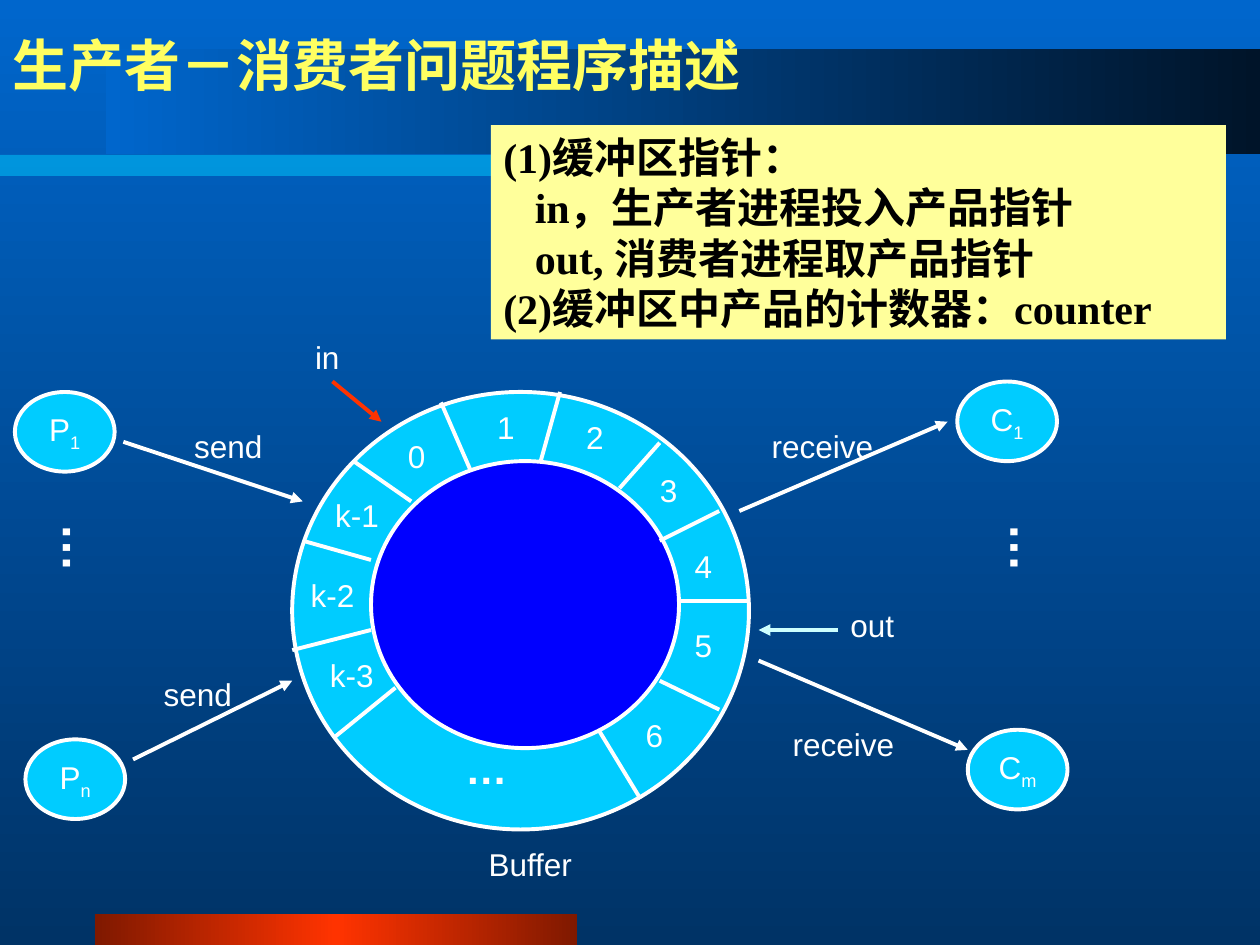
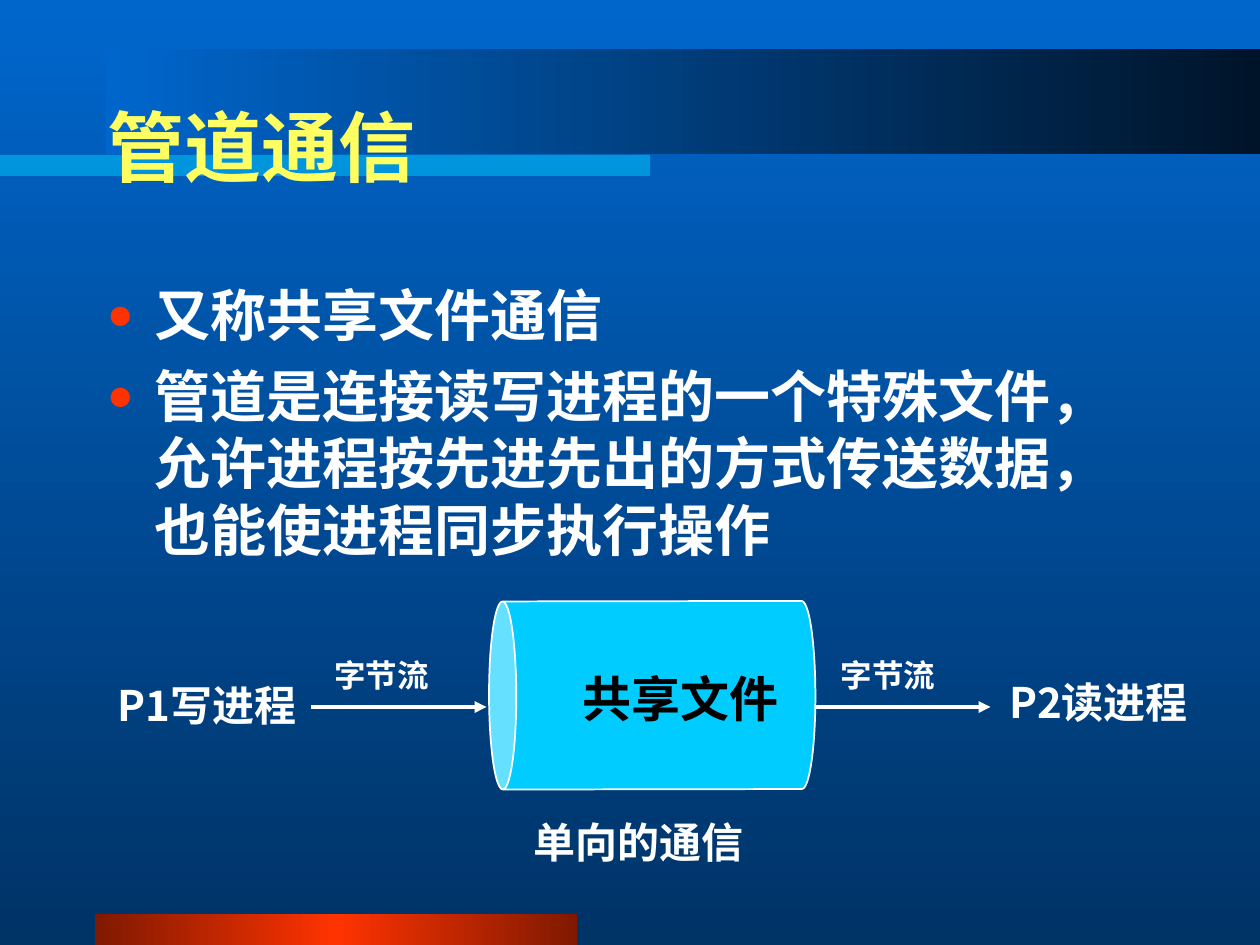
from copy import deepcopy
from dataclasses import dataclass

from lxml.etree import SubElement
from pptx import Presentation
from pptx.dml.color import RGBColor
from pptx.enum.shapes import MSO_CONNECTOR, MSO_SHAPE
from pptx.enum.text import MSO_ANCHOR, MSO_AUTO_SIZE, PP_ALIGN
from pptx.oxml.ns import qn
from pptx.util import Pt


@dataclass(frozen=True)
class Theme:
    sky: str = "0066CC"
    deep: str = "003366"
    night: str = "001429"
    cyan: str = "00CCFF"
    pale: str = "CCFFFF"
    blue: str = "0000FF"
    red: str = "FF3300"
    maroon: str = "7F1900"
    yellow: str = "FFFF61"
    note: str = "FFFF9B"
    white: str = "FFFFFF"
    black: str = "000000"
    sans: str = "Arial"
    serif: str = "Times New Roman"
    chinese: str = "Noto Sans CJK SC"
    small: int = 18
    medium: int = 24
    large: int = 28
    body: int = 32
    heading: int = 44
    stroke: float = 2.25


THEME = Theme()

# Content: producer and consumer slide
BUFFER_TITLE = "生产者－消费者问题程序描述"
NOTES = [  # text, left indent
    ("(1)缓冲区指针：", 0),
    ("in，生产者进程投入产品指针", 18),
    ("out, 消费者进程取产品指针", 18),
    ("(2)缓冲区中产品的计数器：counter", 0),
]
RINGS = [((167, 224, 261, 250), THEME.cyan), ((212, 263.5, 176, 164), THEME.blue)]
DIVIDERS = [
    (252, 230, 269, 269), (320, 224, 309, 263.5), (377, 253, 354, 279),
    (202, 263.5, 235, 286.5), (173, 309, 212, 320), (167, 371.5, 212, 360),
    (226, 393, 191.5, 421), (342, 417, 366, 456.5), (377, 389, 411, 405.5),
    (388, 343.5, 428, 343.5), (377, 309, 411, 292),
]
PROCESSES = [  # letter, index, left, top
    ("P", "1", 8.5, 224), ("P", "n", 14.5, 422.5),
    ("C", "1", 547, 218), ("C", "m", 553, 417),
]
FLOWS = [  # ends, colour
    ((70.5, 252.5, 173, 286.5), THEME.white), ((76, 434, 167, 389), THEME.white),
    ((422.5, 292, 541.5, 241), THEME.white), ((433.5, 377.5, 553, 428.5), THEME.white),
    ((190, 218, 218, 241), THEME.red), ((479, 360, 433.5, 360), THEME.pale),
]
LABELS = [  # text, centre, top
    ("0", 238, 246), ("1", 289, 229.5), ("2", 340, 235.5), ("3", 382, 265.5),
    ("4", 402, 309), ("5", 402, 354), ("6", 374, 405.5),
    ("k-1", 204, 280), ("k-2", 190, 325.5), ("k-3", 201, 371.5),
    ("send", 130.5, 240.5), ("send", 113, 382),
    ("receive", 470, 240.5), ("receive", 482, 410.5),
    ("in", 187, 189.5), ("out", 498.5, 342.5), ("Buffer", 303, 479.5),
]
LABEL_WIDTH, LABEL_HEIGHT = 90, 29
MORE_PROCESSES_LEFT = [20, 561.5]

# Content: pipe slide
PIPE_TITLE = "管道通信"
PIPE_POINTS = [
    "又称共享文件通信",
    "管道是连接读写进程的一个特殊文件，允许进程按先进先出的方式传送数据，也能使进程同步执行操作",
]
PIPE_LABELS = [  # text, frame, size, font, colour, alignment
    ("P1写进程", (60, 385, 124, 36), THEME.medium, THEME.chinese, THEME.white, PP_ALIGN.LEFT),
    ("P2读进程", (569.5, 383, 121, 36), THEME.medium, THEME.chinese, THEME.white, PP_ALIGN.LEFT),
    ("共享文件", (326, 378.5, 134, 50.5), THEME.large, THEME.serif, THEME.black, PP_ALIGN.JUSTIFY),
    ("字节流", (167, 371.5, 102, 29), THEME.small, THEME.sans, THEME.white, PP_ALIGN.CENTER),
    ("字节流", (456.5, 371.5, 102, 29), THEME.small, THEME.sans, THEME.white, PP_ALIGN.CENTER),
    ("单向的通信", (298, 463, 140, 36), THEME.medium, THEME.serif, THEME.white, PP_ALIGN.LEFT),
]
STREAMS = [(178, 404, 278, 404), (466, 404, 566, 404)]


def rgb(colour):
    return RGBColor.from_string(colour)


def points(values):
    return [Pt(value) for value in values]


# Fills and outlines
def fill_gradient(fill, colours, angle=0):
    fill.gradient()
    fill.gradient_angle = angle
    first = fill.gradient_stops[0]._gs
    for _ in colours[2:]:
        first.getparent().append(deepcopy(first))
    for index, (stop, colour) in enumerate(zip(fill.gradient_stops, colours)):
        stop.position = index / (len(colours) - 1)
        stop.color.rgb = rgb(colour)


def add_figure(slide, kind, frame, colour=None, stroke=None):
    figure = slide.shapes.add_shape(kind, *points(frame))
    figure.shadow.inherit = False
    if colour:
        figure.fill.solid()
        figure.fill.fore_color.rgb = rgb(colour)
    if stroke:
        figure.line.color.rgb = rgb(THEME.white)
        figure.line.width = Pt(stroke)
    else:
        figure.line.fill.background()
    return figure


def add_line(slide, ends, colour=THEME.white, arrow=False):
    line = slide.shapes.add_connector(MSO_CONNECTOR.STRAIGHT, *points(ends))
    line.line.color.rgb = rgb(colour)
    line.line.width = Pt(THEME.stroke)
    if arrow:
        SubElement(line.line._get_or_add_ln(), qn("a:tailEnd"), type="triangle")
    SubElement(line._element.spPr, qn("a:effectLst"))


# Text
def add_run(paragraph, text, size, font=THEME.sans, colour=THEME.white, bold=False):
    run = paragraph.add_run()
    run.text = text
    run.font.size = Pt(size)
    run.font.bold = bold
    run.font.color.rgb = rgb(colour)
    run.font.name = font
    if any(0x2E80 < ord(letter) for letter in text):
        SubElement(run._r.get_or_add_rPr(), qn("a:ea"), typeface=THEME.chinese)
        paragraph.line_spacing = Pt(round(size * 1.2, 1))
    return run


def add_label(slide, text, frame, size, font=THEME.sans, colour=THEME.white,
              bold=False, align=PP_ALIGN.CENTER):
    label = slide.shapes.add_textbox(*points(frame))
    label.text_frame.word_wrap = True
    paragraph = label.text_frame.paragraphs[0]
    paragraph.alignment = align
    add_run(paragraph, text, size, font, colour, bold)
    return label


def next_paragraph(frame, index):
    return frame.add_paragraph() if index else frame.paragraphs[0]


def set_bullet(paragraph):
    properties = paragraph._p.get_or_add_pPr()
    properties.set("marL", str(Pt(27)))
    properties.set("indent", str(Pt(-27)))
    tint = SubElement(properties, qn("a:buClr"))
    SubElement(tint, qn("a:srgbClr"), val=THEME.red)
    SubElement(properties, qn("a:buSzPct"), val="80000")
    SubElement(properties, qn("a:buFont"), typeface=THEME.sans)
    SubElement(properties, qn("a:buChar"), char="●")


# Shared background, bands and title
def start_slide(deck, text, frame, size):
    slide = deck.slides.add_slide(deck.slide_layouts[5])
    fill_gradient(slide.background.fill, [THEME.sky, THEME.deep], 270)

    footer = add_figure(slide, MSO_SHAPE.RECTANGLE, (54, 522, 276, 18))
    fill_gradient(footer.fill, [THEME.maroon, THEME.red, THEME.maroon])
    band = add_figure(slide, MSO_SHAPE.RECTANGLE, (60.5, 28, 659.5, 60))
    fill_gradient(band.fill, [THEME.sky, THEME.night])
    strip = add_figure(slide, MSO_SHAPE.RECTANGLE, (0, 88.5, 371.5, 12), THEME.cyan)
    tint = strip._element.spPr.find(".//" + qn("a:srgbClr"))
    SubElement(tint, qn("a:alpha"), val="50000")

    title = slide.shapes.title
    slide.shapes._spTree.append(title._element)  # in front of the bands
    title.left, title.top, title.width, title.height = points(frame)
    title.text_frame.auto_size = MSO_AUTO_SIZE.NONE
    title.text_frame.vertical_anchor = MSO_ANCHOR.MIDDLE
    paragraph = title.text_frame.paragraphs[0]
    paragraph.alignment = PP_ALIGN.LEFT
    add_run(paragraph, text, size, THEME.serif, THEME.yellow, True)
    return slide


def build_buffer_slide(deck):
    slide = start_slide(deck, BUFFER_TITLE, (0, 0, 612, 73), THEME.body)

    # Ring buffer
    for frame, colour in RINGS:
        add_figure(slide, MSO_SHAPE.OVAL, frame, colour, THEME.stroke)
    for ends in DIVIDERS:
        add_line(slide, ends)

    # Producers and consumers
    for letter, index, left, top in PROCESSES:
        process = add_figure(slide, MSO_SHAPE.OVAL, (left, top, 57, 45.5),
                             THEME.cyan, THEME.stroke)
        process.text_frame.word_wrap = False
        process.text_frame.vertical_anchor = MSO_ANCHOR.MIDDLE
        paragraph = process.text_frame.paragraphs[0]
        paragraph.alignment = PP_ALIGN.CENTER
        add_run(paragraph, letter, THEME.small)
        subscript = add_run(paragraph, index, THEME.small)
        subscript._r.get_or_add_rPr().set("baseline", "-25000")
    for left in MORE_PROCESSES_LEFT:
        more = add_label(slide, "…", (left, 292, 47.5, 108), THEME.large, bold=True)
        body = more.text_frame
        body._txBody.bodyPr.set("vert", "eaVert")
        body.margin_left = body.margin_right = Pt(3.6)
        body.margin_top = body.margin_bottom = Pt(7.2)

    # Arrows and labels
    for ends, colour in FLOWS:
        add_line(slide, ends, colour, arrow=True)
    for text, centre, top in LABELS:
        add_label(slide, text, (centre - LABEL_WIDTH / 2, top, LABEL_WIDTH, LABEL_HEIGHT),
                  THEME.small)
    add_label(slide, "…", (224, 420.5, 108, 36), THEME.medium, bold=True)

    # Pointer notes
    notes = add_figure(slide, MSO_SHAPE.RECTANGLE, (280.5, 71.5, 420, 122.5), THEME.note)
    notes.text_frame.word_wrap = True
    notes.text_frame.vertical_anchor = MSO_ANCHOR.TOP
    for index, (text, indent) in enumerate(NOTES):
        paragraph = next_paragraph(notes.text_frame, index)
        paragraph.alignment = PP_ALIGN.LEFT
        paragraph._p.get_or_add_pPr().set("marL", str(Pt(indent)))
        add_run(paragraph, text, THEME.medium, THEME.serif, THEME.black, True)


def build_pipe_slide(deck):
    slide = start_slide(deck, PIPE_TITLE, (54, 38, 612, 90), THEME.heading)

    # Bullet points
    body = slide.shapes.add_textbox(*points((54, 156.5, 612, 324))).text_frame
    body.word_wrap = True
    for index, text in enumerate(PIPE_POINTS):
        paragraph = next_paragraph(body, index)
        set_bullet(paragraph)
        if index:
            paragraph.space_before = Pt(8)
        add_run(paragraph, text, THEME.body, bold=True)

    # Shared file with a stream on each side
    pipe = add_figure(slide, MSO_SHAPE.CAN, (319, 304, 107.5, 186.5), THEME.cyan, 1)
    pipe.rotation = 269.9
    pipe.adjustments[0] = 0.145
    for ends in STREAMS:
        add_line(slide, ends, arrow=True)
    for text, frame, size, font, colour, align in PIPE_LABELS:
        add_label(slide, text, frame, size, font, colour, True, align)


def main():
    deck = Presentation()
    deck.slide_width, deck.slide_height = Pt(720), Pt(540)
    build_buffer_slide(deck)
    build_pipe_slide(deck)
    deck.save("out.pptx")


if __name__ == "__main__":
    main()
